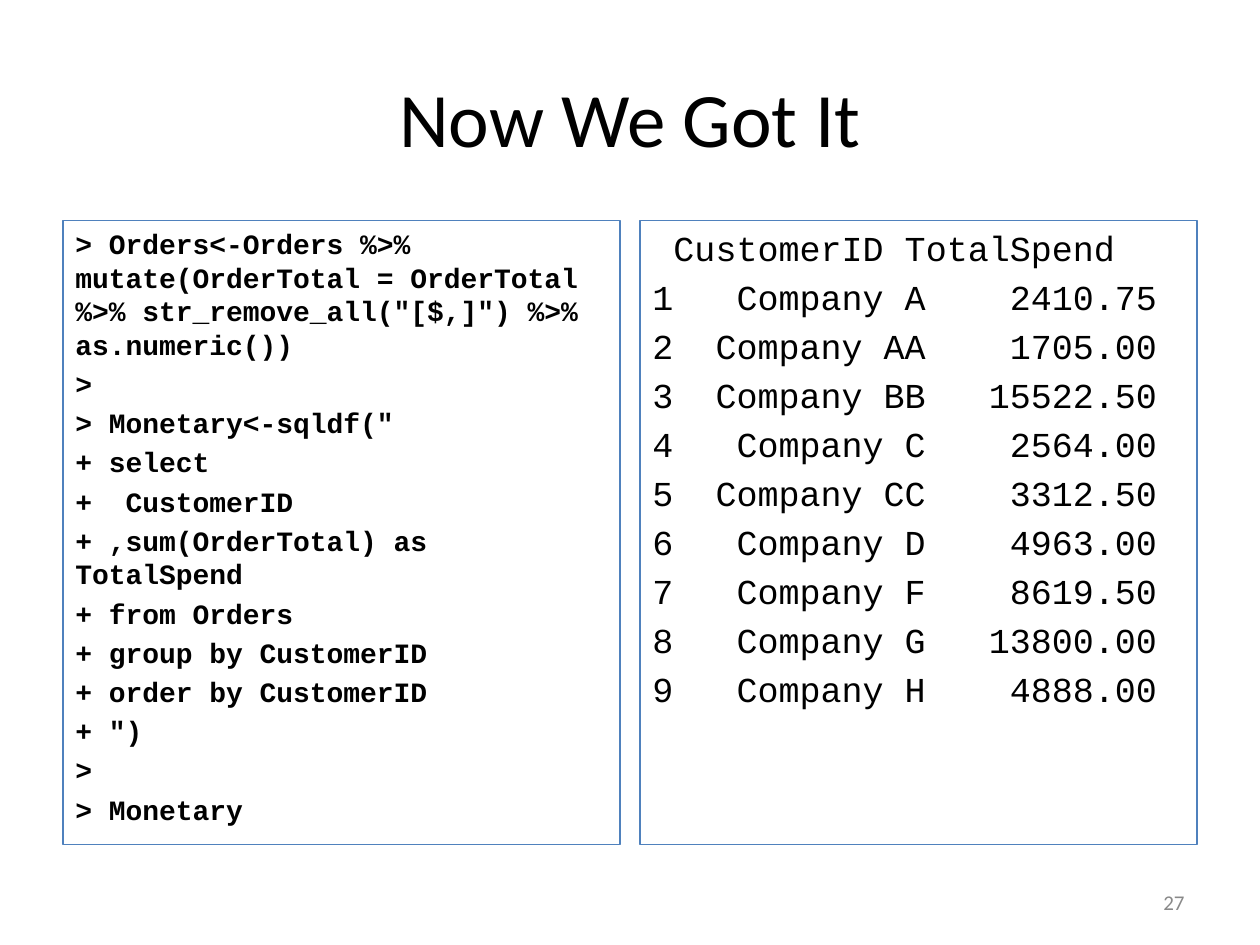
from pptx import Presentation
from pptx import util as u
from pptx.dml.color import RGBColor
from pptx.enum import shapes, text

COLORS = {"ink": "000000", "border": "4F81BD", "muted": "898989"}
CODE = [
    '> Orders<-Orders %>% mutate(OrderTotal = OrderTotal %>% str_remove_all("[$,]") %>% as.numeric())',
    ">",
    '> Monetary<-sqldf("',
    "+ select",
    "+  CustomerID",
    "+ ,sum(OrderTotal) as TotalSpend",
    "+ from Orders",
    "+ group by CustomerID",
    "+ order by CustomerID",
    '+ ")',
    ">",
    "> Monetary",
]
TOTALS = {
    "A": 2410.75, "AA": 1705, "BB": 15522.5, "C": 2564, "CC": 3312.5,
    "D": 4963, "F": 8619.5, "G": 13800, "H": 4888,
}


class Deck:
    """Holds the fonts, the margins and the current slide, and draws each element on it."""

    heading, mono = "Calibri", "Courier New"
    margin, gap = 0.05, 0.016

    def __init__(self, width, height):
        self.prs = Presentation()
        self.prs.slide_width, self.prs.slide_height = u.Inches(width), u.Inches(height)
        self.s = self.prs.slides.add_slide(self.prs.slide_layouts[6])

    def box(self, x, y, w, h):
        width, height = self.prs.slide_width, self.prs.slide_height
        return [int(v) for v in (x * width, y * height, w * width, h * height)]

    def set_text(self, sp, lines, size, font, color, align, anchor, bold=False, before=0):
        tf = sp.text_frame
        tf.word_wrap = True
        tf.vertical_anchor = anchor
        tf.text = "\n".join(lines)
        for p in tf.paragraphs:
            p.alignment = align
            p.space_before = u.Pt(size * before)
            for r in p.runs:
                r.font.name, r.font.size, r.font.bold = font, u.Pt(size), bold
                r.font.color.rgb = RGBColor.from_string(COLORS[color])

    def label(self, words, x, y, w, h, size, color, align):
        sp = self.s.shapes.add_textbox(*self.box(x, y, w, h))
        self.set_text(sp, [words], size, self.heading, color, align, text.MSO_ANCHOR.MIDDLE)

    def panel(self, column, lines, size, bold=False):
        w = (1 - 2 * self.margin - self.gap) / 2
        x = self.margin + column * (w + self.gap)
        sp = self.s.shapes.add_shape(shapes.MSO_SHAPE.RECTANGLE, *self.box(x, 7 / 30, w, 0.66))
        sp.shadow.inherit = False
        sp.fill.background()
        sp.line.color.rgb = RGBColor.from_string(COLORS["border"])
        sp.line.width = u.Pt(0.75)
        self.set_text(sp, lines, size, self.mono, "ink", text.PP_ALIGN.LEFT,
                      text.MSO_ANCHOR.TOP, bold, before=0.2)


def main():
    deck = Deck(10, 7.5)
    deck.label("Now We Got It", 0.05, 0.04, 0.9, 1 / 6, 44, "ink", text.PP_ALIGN.CENTER)
    deck.panel(0, CODE, 16, bold=True)
    rows = [f"{i}{'Company ' + name:>12}{total:>11.2f}"
            for i, (name, total) in enumerate(TOTALS.items(), 1)]
    deck.panel(1, [" CustomerID TotalSpend"] + rows, 20)
    deck.label("27", 0.72, 0.93, 0.23, 0.05, 12, "muted", text.PP_ALIGN.RIGHT)
    deck.prs.save("out.pptx")


if __name__ == "__main__":
    main()
